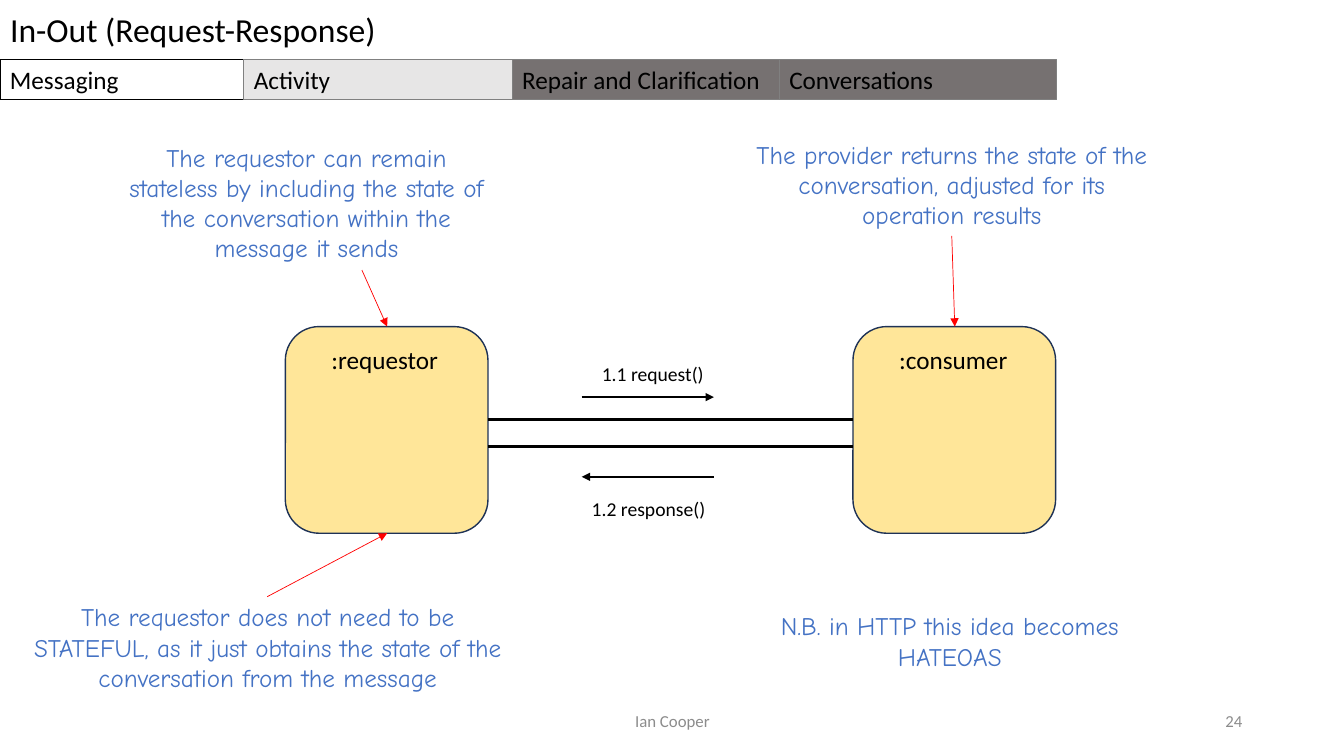
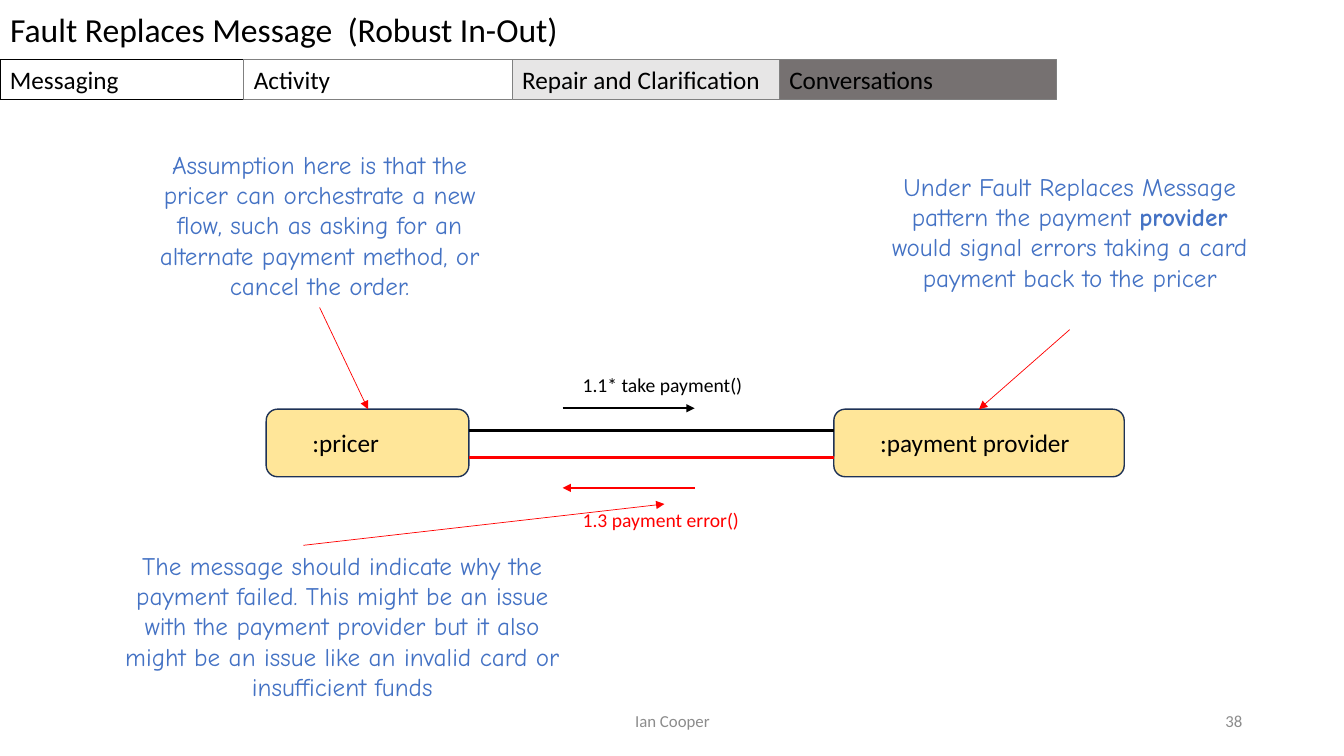
from pptx import Presentation
from pptx.dml.color import RGBColor
from pptx.enum.shapes import MSO_CONNECTOR, MSO_SHAPE
from pptx.enum.text import MSO_ANCHOR, MSO_AUTO_SIZE, PP_ALIGN
from pptx.oxml.ns import qn
from pptx.util import Inches, Pt
from lxml import etree

HUES = {
    "black": "000000", "white": "FFFFFF", "red": "FF0000", "note": "4472C4",
    "box": "FFE699", "edge": "1E3256", "light": "E7E6E6", "dark": "767171",
    "rim": "808080", "foot": "8C8C8C",
}
HUES = {name: RGBColor.from_string(code) for name, code in HUES.items()}
TABS = ["Messaging", "Activity", "Repair and Clarification", "Conversations"]
STOPS = [0, 2.42, 5.08, 7.73, 10.48]

PAGES = [
    {
        "title": "In-Out (Request-Response)", "page": "24", "tab": 1,
        "boxes": [(":requestor", 2.83, 2.01), (":consumer", 8.46, 2.01)],
        "top": 3.24, "high": 2.05, "wire": 4.16, "back": "black",
        "calls": [("1.1 request()", 1.03), ("1.2 response()", 0.93)],
        "notes": [
            ("The provider returns the state of the conversation, adjusted "
             "for its operation results",
             (7.34, 1.33, 4.2, 1.01), (9.44, 2.34, 9.47, 3.24)),
            ("The requestor can remain stateless by including the state of "
             "the conversation within the message it sends",
             (1.14, 1.36, 3.8, 1.31), (3.59, 2.68, 3.84, 3.24)),
            ("The requestor does not need to be STATEFUL, as it just obtains "
             "the state of the conversation from the message",
             (0.22, 5.92, 4.87, 1.01), (2.65, 5.92, 3.84, 5.29)),
            ("N.B. in HTTP this idea becomes HATEOAS",
             (7.32, 6.01, 4.2, 0.71), None),
        ],
    },
    {
        "title": "Fault Replaces Message  (Robust In-Out)", "page": "38", "tab": 2,
        "boxes": [(":pricer", 2.64, 2.01), (":payment provider", 8.27, 2.88)],
        "top": 4.06, "high": 0.67, "wire": 4.27, "back": "red",
        "calls": [("1.1* take payment()", 1.03), ("1.3 payment error()", 1.03)],
        "notes": [
            ("Under Fault Replaces Message pattern the payment **provider** "
             "would signal errors taking a card payment back to the pricer",
             (8.71, 1.65, 3.8, 1.62), (10.61, 3.27, 9.71, 4.06)),
            ("Assumption here is that the pricer can orchestrate a new flow, "
             "such as asking for an alternate payment method, or cancel the "
             "order.",
             (1.27, 1.43, 3.8, 1.62), (3.17, 3.05, 3.65, 4.06)),
            ("The message should indicate why the payment failed. This might "
             "be an issue with the payment provider but it also might be an "
             "issue like an invalid card or insufficient funds",
             (1.11, 5.41, 4.57, 1.62), (3.01, 5.41, 6.59, 5)),
        ],
    },
]


def write(shape, text, size=18, hue="black", font="Calibri",
          align=PP_ALIGN.LEFT, anchor=MSO_ANCHOR.TOP, left=0.1, top=0.05):
    """Fill a shape with text; words between ** marks are bold."""
    frame = shape.text_frame
    frame.word_wrap = True
    frame.auto_size = MSO_AUTO_SIZE.NONE
    frame.vertical_anchor = anchor
    frame.margin_left, frame.margin_top = Inches(left), Inches(top)
    frame.margin_right, frame.margin_bottom = Inches(0.1), Inches(0.05)
    para = frame.paragraphs[0]
    para.alignment = align
    for i, part in enumerate(text.split("**")):
        run = para.add_run()
        run.text = part
        run.font.name, run.font.size = font, Pt(size)
        run.font.color.rgb = HUES[hue]
        run.font.bold = i % 2 == 1


def link(slide, ends, hue, width, arrow=True):
    """Draw a straight line, with an arrowhead at its end if asked."""
    line = slide.shapes.add_connector(MSO_CONNECTOR.STRAIGHT, *map(Inches, ends))
    line.line.color.rgb = HUES[hue]
    line.line.width = Pt(width)
    if arrow:
        etree.SubElement(line.line._get_or_add_ln(), qn("a:tailEnd"), type="triangle")
    etree.SubElement(line._element.spPr, qn("a:effectLst"))


deck = Presentation()
deck.slide_width, deck.slide_height = Inches(13.33), Inches(7.5)

for page in PAGES:
    slide = deck.slides.add_slide(deck.slide_layouts[5])
    shapes = slide.shapes

    # Title
    title = shapes.title
    title.left, title.top = Inches(0), Inches(-0.01)
    title.width, title.height = Inches(13.33), Inches(0.61)
    write(title, page["title"], size=24, top=0.1)

    # Footer
    for text, x, wide, align in [("Ian Cooper", 4.42, 4.5, PP_ALIGN.CENTER),
                                 (page["page"], 9.42, 3, PP_ALIGN.RIGHT)]:
        foot = shapes.add_textbox(Inches(x), Inches(6.95), Inches(wide), Inches(0.4))
        write(foot, text, size=12, hue="foot", align=align, anchor=MSO_ANCHOR.MIDDLE)

    # Progress tabs: past ones white, the present one light, later ones dark
    for i, name in enumerate(TABS):
        tab = shapes.add_shape(MSO_SHAPE.RECTANGLE, Inches(STOPS[i]), Inches(0.59),
                               Inches(STOPS[i + 1] - STOPS[i]), Inches(0.4))
        tab.shadow.inherit = False
        now = page["tab"]
        fill = "white" if i < now else "light" if i == now else "dark"
        tab.fill.solid()
        tab.fill.fore_color.rgb = HUES[fill]
        tab.line.color.rgb = HUES["rim" if i else "black"]
        tab.line.width = Pt(0.75)
        write(tab, name)

    # Objects; the rounded corners already inset the text a little
    high = page["high"]
    for name, x, wide in page["boxes"]:
        box = shapes.add_shape(MSO_SHAPE.ROUNDED_RECTANGLE, Inches(x),
                               Inches(page["top"]), Inches(wide), Inches(high))
        box.shadow.inherit = False
        box.fill.solid()
        box.fill.fore_color.rgb = HUES["box"]
        box.line.color.rgb = HUES["edge"]
        box.line.width = Pt(1)
        curve = 0.05 * min(wide, high)
        write(box, name, left=0.46 - curve, top=0.18 - curve)

    # Wires between the objects, with a call and its reply
    (_, x, wide), (_, end, _) = page["boxes"]
    start, y = x + wide, page["wire"]
    tail, head = start + 0.93, start + 2.24
    rows = [(0, -0.22, -0.62, "black", tail, head),
            (0.27, 0.57, 0.72, page["back"], head, tail)]
    for (text, shift), (wire, arrow, label, hue, a, b) in zip(page["calls"], rows):
        link(slide, (start, y + wire, end, y + wire), hue, 2.5, arrow=False)
        link(slide, (a, y + arrow, b, y + arrow), hue, 1.5)
        call = shapes.add_textbox(Inches(start + shift), Inches(y + label),
                                  Inches(1.92), Inches(0.34))
        write(call, text, size=14, hue=hue)

    # Notes and their pointers
    for text, place, ends in page["notes"]:
        note = shapes.add_textbox(*map(Inches, place))
        write(note, text, hue="note", font="Comic Neue", align=PP_ALIGN.CENTER)
        if ends:
            link(slide, ends, "red", 0.5)

deck.save("out.pptx")
